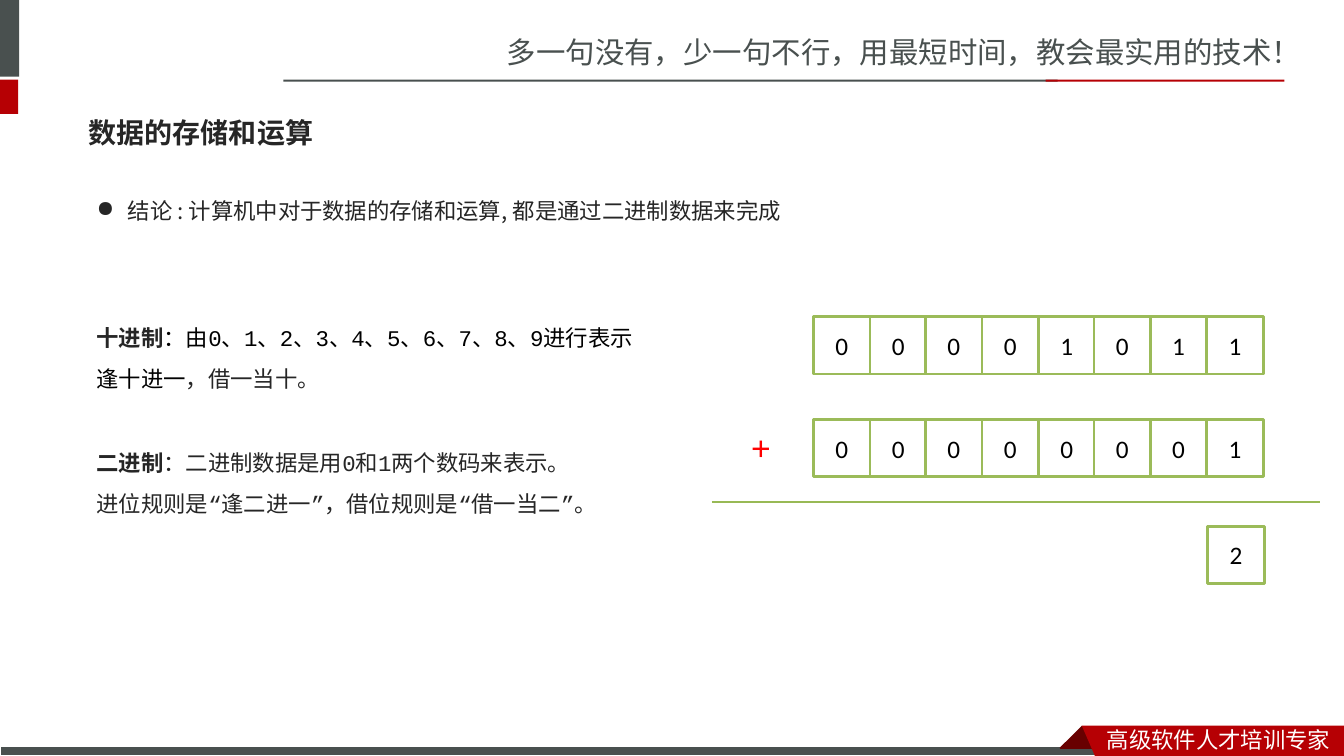
from lxml.etree import SubElement
from pptx import Presentation
from pptx.dml.color import RGBColor
from pptx.enum.shapes import MSO_CONNECTOR, MSO_SHAPE
from pptx.enum.text import MSO_ANCHOR, MSO_AUTO_SIZE, PP_ALIGN
from pptx.oxml.ns import qn
from pptx.util import Pt

PX = 9144
DARK, RED, GREEN, INK = "49504F", "B60004", "9BBB59", "262626"
SANS, MONO = "Noto Sans CJK SC", "Courier New"


def write(paragraph, text, size=16, font=MONO, color=INK, bold=False):
    run = paragraph.add_run()
    run.text = text
    run.font.size = Pt(size)
    run.font.name = font
    run.font.bold = bold
    run.font.color.rgb = RGBColor.from_string(color)
    SubElement(run.font._element, qn("a:ea")).set("typeface", font)


def paint(shape, fill, line=None, width=2):
    shape.shadow.inherit = False
    shape.fill.solid()
    shape.fill.fore_color.rgb = RGBColor.from_string(fill)
    if line:
        shape.line.color.rgb = RGBColor.from_string(line)
        shape.line.width = Pt(width)
    else:
        shape.line.fill.background()


presentation = Presentation()
presentation.slide_width = 1333 * PX
presentation.slide_height = 750 * PX
slide = presentation.slides.add_slide(presentation.slide_layouts[5])
shapes = slide.shapes

bars = [
    (0, 0, 19, 76, DARK, None),
    (0, 79, 18, 34, RED, None),
    (281, 79, 768, 2, DARK, None),
    (1037, 79, 237, 2, RED, None),
    (0, 741, 1099, 9, DARK, "FFFFFF"),
]
for left, top, width, height, fill, line in bars:
    bar = shapes.add_shape(MSO_SHAPE.RECTANGLE, left * PX, top * PX, width * PX, height * PX)
    paint(bar, fill, line, 0.75)

ribbon_parts = [
    ("680000", [(1073, 720), (1095, 742), (1094, 743), (1052, 743), (1051, 742)]),
    (RED, [(1073, 720), (1333, 720), (1333, 750), (1086, 750)]),
]
for fill, points in ribbon_parts:
    builder = shapes.build_freeform(*points[0], scale=PX)
    builder.add_line_segments(points[1:], close=True)
    paint(builder.convert_to_shape(), fill)

title = shapes.title
title.left, title.top, title.width, title.height = 78 * PX, 103 * PX, 1176 * PX, 57 * PX
title.text_frame.auto_size = MSO_AUTO_SIZE.NONE
title.text_frame.vertical_anchor = MSO_ANCHOR.MIDDLE
heading = title.text_frame.paragraphs[0]
heading.alignment = PP_ALIGN.LEFT
write(heading, "数据的存储和运算", size=20, font="Roboto", bold=True)

banner = dict(size=21, font=SANS, color=DARK)
slogan = dict(font=SANS, color="FFFFFF")
plus = dict(size=24, color="FF0000")
bold = dict(bold=True)
black = dict(color="000000")
text_boxes = [
    (493, 28, 840, 47, None, [[("多一句没有，少一句不行，用最短时间，教会最实用的技术！", banner)]]),
    (1088, 715, 245, 37, None, [[("高级软件人才培训专家", slogan)]]),
    (86, 177, 714, 64, Pt(19), [
        [("结论 : 计算机中对于数据的存储和运算, 都是通过二进制数据来完成", dict(font="Noto Sans CJK JP"))],
    ]),
    (86, 305, 964, 87, 1.5, [
        [("十进制", bold), ("：由0、1、2、3、4、5、6、7、8、9进行表示", black)],
        [("逢十进一", black), ("，借一当十。", {})],
    ]),
    (86, 429, 964, 87, 1.5, [
        [("二进制", bold), ("：二进制数据是用0和1两个数码来表示。", {})],
        [("进位规则是“逢二进一”，借位规则是“借一当二”。", {})],
    ]),
    (735, 418, 47, 51, None, [[("+", plus)]]),
]
for left, top, width, height, spacing, lines in text_boxes:
    box = shapes.add_textbox(left * PX, top * PX, width * PX, height * PX)
    frame = box.text_frame
    frame.word_wrap = True
    frame.vertical_anchor = MSO_ANCHOR.MIDDLE
    for index, runs in enumerate(lines):
        paragraph = frame.add_paragraph() if index else frame.paragraphs[0]
        if runs[0][0].startswith("结论"):
            properties = paragraph._p.get_or_add_pPr()
            properties.set("marL", str(31 * PX))
            properties.set("indent", str(-31 * PX))
            SubElement(properties, qn("a:buChar")).set("char", "●")
        if spacing:
            paragraph.line_spacing = spacing
        for text, style in runs:
            write(paragraph, text, **style)

bit_rows = [(807, 314, "00001011"), (807, 416, "00000001"), (1198, 522, "2")]
for row_left, top, digits in bit_rows:
    for index, digit in enumerate(digits):
        left = row_left + round(index * 55.7)
        cell = shapes.add_shape(MSO_SHAPE.RECTANGLE, left * PX, top * PX, 56 * PX, 57 * PX)
        paint(cell, "FFFFFF", GREEN)
        cell.text_frame.vertical_anchor = MSO_ANCHOR.MIDDLE
        paragraph = cell.text_frame.paragraphs[0]
        paragraph.alignment = PP_ALIGN.CENTER
        write(paragraph, digit, size=18, font="Calibri", color="000000")

sum_line = shapes.add_connector(MSO_CONNECTOR.STRAIGHT, 706 * PX, 498 * PX, 1309 * PX, 498 * PX)
sum_line.line.color.rgb = RGBColor.from_string("98B955")
sum_line.line.width = Pt(2)
SubElement(sum_line._element.spPr, qn("a:effectLst"))

presentation.save("out.pptx")
